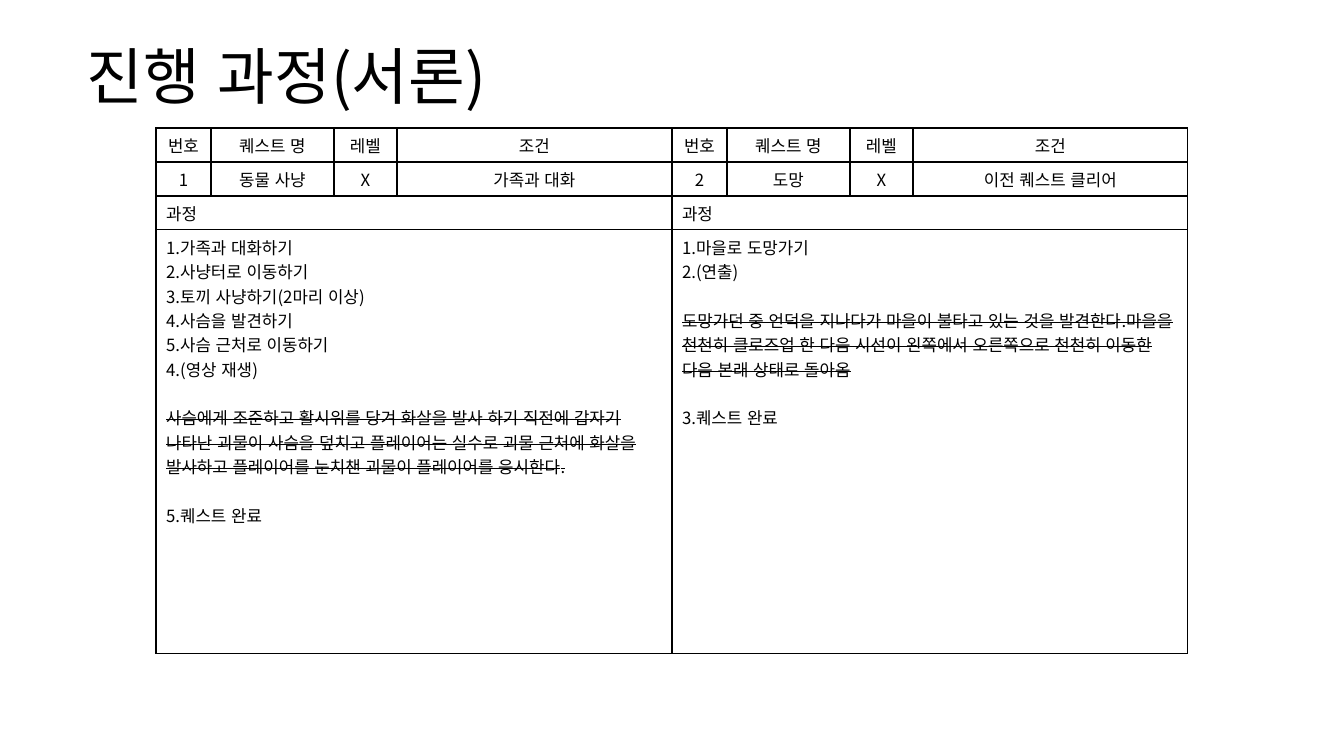
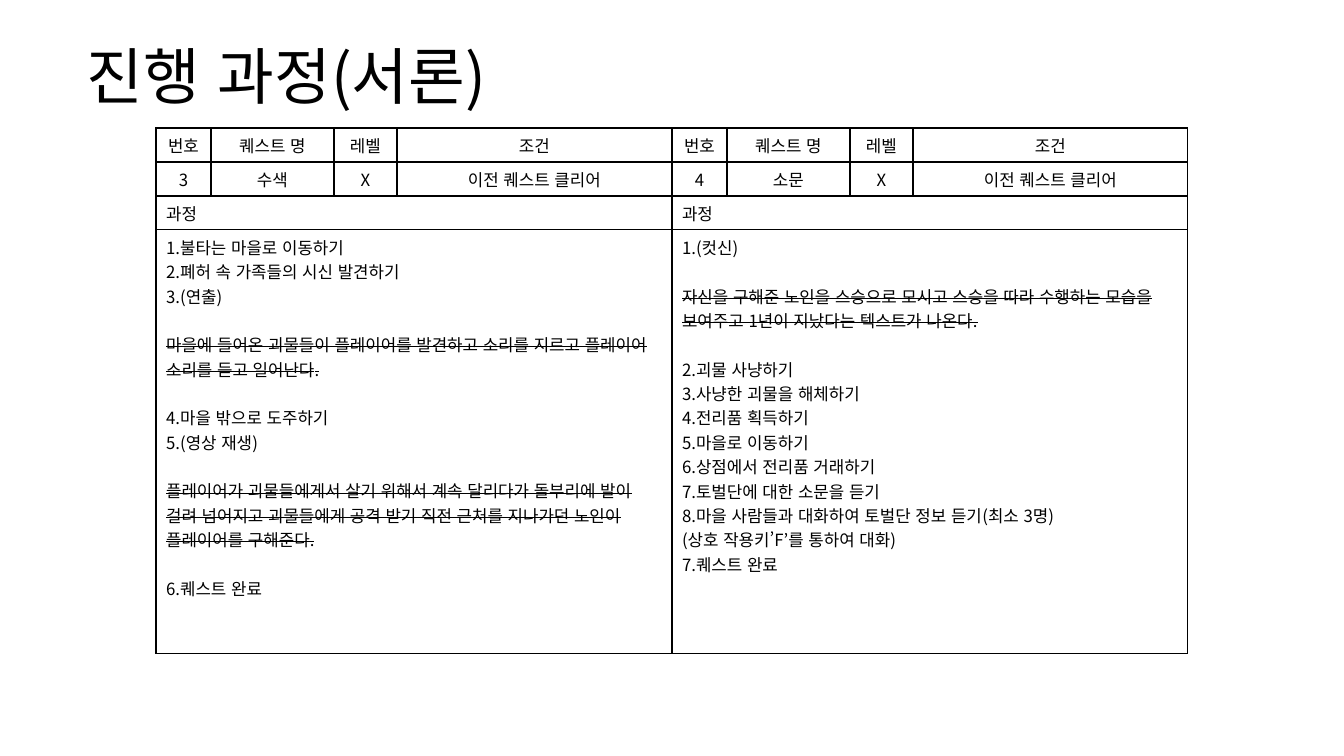
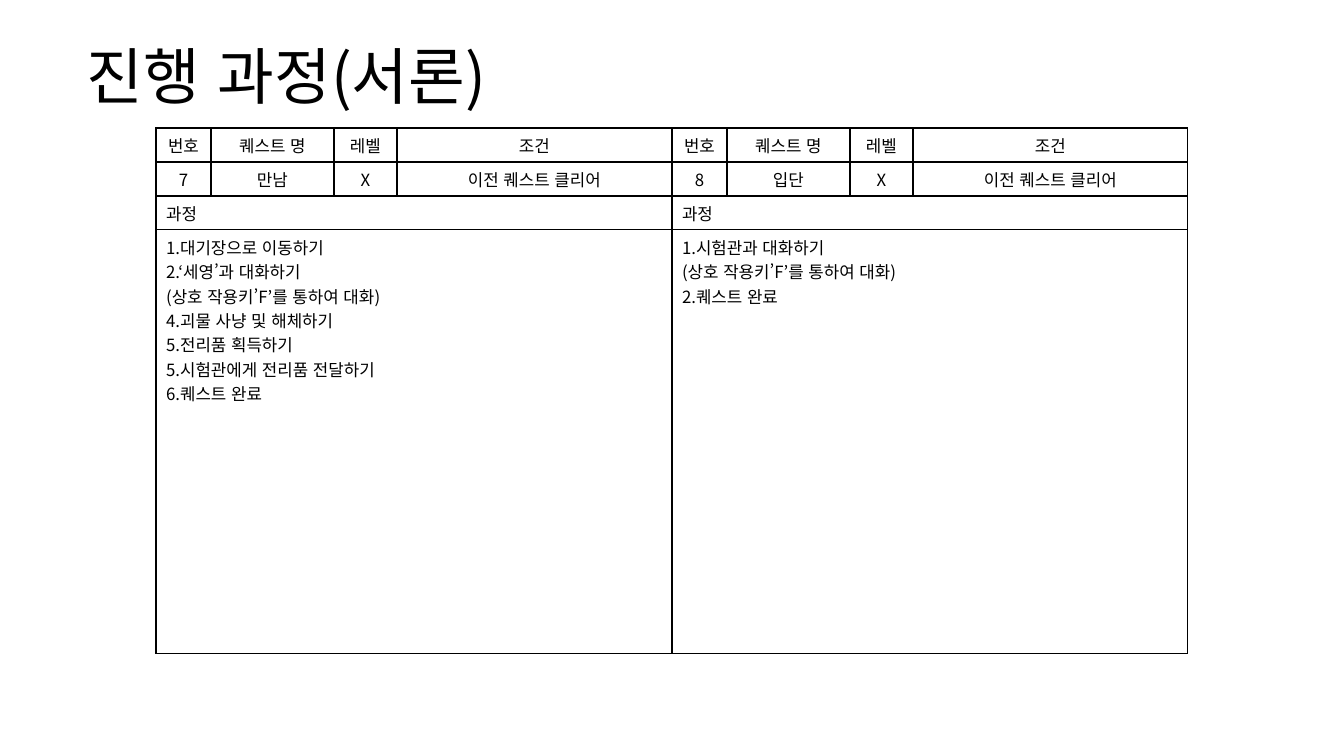
from dataclasses import dataclass
from lxml.etree import SubElement
from pptx import Presentation
from pptx.dml.color import RGBColor
from pptx.enum.lang import MSO_LANGUAGE_ID
from pptx.enum.text import MSO_ANCHOR, PP_ALIGN
from pptx.oxml.ns import qn
from pptx.util import Emu, Pt

# Content: each quest is (number, name, level, condition, steps)
TITLE = "진행 과정(서론)"
HEADERS = ("번호", "퀘스트 명", "레벨", "조건")
PROCESS = "과정"
CLEARED = "이전 퀘스트 클리어"
TALK_KEY = "(상호 작용키’F’를 통하여 대화)"
STRUCK = "~"  # leading mark of a struck-out scene

SLIDES = [
    [
        ("1", "동물 사냥", "X", "가족과 대화", [
            "1.가족과 대화하기",
            "2.사냥터로 이동하기",
            "3.토끼 사냥하기(2마리 이상)",
            "4.사슴을 발견하기",
            "5.사슴 근처로 이동하기",
            "4.(영상 재생)",
            "~사슴에게 조준하고 활시위를 당겨 화살을 발사 하기 직전에 갑자기 나타난 "
            "괴물이 사슴을 덮치고 플레이어는 실수로 괴물 근처에 화살을 발사하고 "
            "플레이어를 눈치챈 괴물이 플레이어를 응시한다.",
            "5.퀘스트 완료",
        ]),
        ("2", "도망", "X", CLEARED, [
            "1.마을로 도망가기",
            "2.(연출)",
            "~도망가던 중 언덕을 지나다가 마을이 불타고 있는 것을 발견한다.마을을 "
            "천천히 클로즈업 한 다음 시선이 왼쪽에서 오른쪽으로 천천히 이동한 다음 "
            "본래 상태로 돌아옴",
            "3.퀘스트 완료",
        ]),
    ],
    [
        ("3", "수색", "X", CLEARED, [
            "1.불타는 마을로 이동하기",
            "2.폐허 속 가족들의 시신 발견하기",
            "3.(연출)",
            "~마을에 들어온 괴물들이 플레이어를 발견하고 소리를 지르고 플레이어 "
            "소리를 듣고 일어난다.",
            "4.마을 밖으로 도주하기",
            "5.(영상 재생)",
            "~플레이어가 괴물들에게서 살기 위해서 계속 달리다가 돌부리에 발이 걸려 "
            "넘어지고 괴물들에게 공격 받기 직전 근처를 지나가던 노인이 플레이어를 "
            "구해준다.",
            "6.퀘스트 완료",
        ]),
        ("4", "소문", "X", CLEARED, [
            "1.(컷신)",
            "~자신을 구해준 노인을 스승으로 모시고 스승을 따라 수행하는 모습을 "
            "보여주고 1년이 지났다는 텍스트가 나온다.",
            "2.괴물 사냥하기",
            "3.사냥한 괴물을 해체하기",
            "4.전리품 획득하기",
            "5.마을로 이동하기",
            "6.상점에서 전리품 거래하기",
            "7.토벌단에 대한 소문을 듣기",
            "8.마을 사람들과 대화하여 토벌단 정보 듣기(최소 3명)",
            TALK_KEY,
            "7.퀘스트 완료",
        ]),
    ],
    [
        ("7", "만남", "X", CLEARED, [
            "1.대기장으로 이동하기",
            "2.‘세영’과 대화하기",
            TALK_KEY,
            "4.괴물 사냥 및 해체하기",
            "5.전리품 획득하기",
            "5.시험관에게 전리품 전달하기",
            "6.퀘스트 완료",
        ]),
        ("8", "입단", "X", CLEARED, [
            "1.시험관과 대화하기",
            TALK_KEY,
            "2.퀘스트 완료",
        ]),
    ],
]


# Theme and geometry
@dataclass(frozen=True)
class Theme:
    font: str = "Noto Sans CJK KR"
    ink: RGBColor = RGBColor(0, 0, 0)
    title: Pt = Pt(44)
    body: Pt = Pt(12)
    border: Pt = Pt(1)
    scene_gap: Pt = Pt(17.4)  # one body line


THEME = Theme()
SLIDE_W, SLIDE_H = 1344, 756
TITLE_BOX = (77, 32, 1190, 95)
TABLE_LEFT, TABLE_TOP = 156, 128
COLS = (55, 123, 63, 275)
ROWS = (34, 34, 34, 424)


def px(n):
    return Emu(round(n * 914400 / 100.8))


def set_all(obj, **values):
    for name, value in values.items():
        setattr(obj, name, value)


# Shared text, title and table parts
def write(p, text, size, struck=False, **para):
    set_all(p, **para)
    r = p.add_run()
    r.text = text
    set_all(r.font, name=THEME.font, size=size,
            language_id=MSO_LANGUAGE_ID.KOREAN)
    r.font.color.rgb = THEME.ink
    rPr = r.font._element
    SubElement(rPr, qn("a:ea"), typeface=THEME.font)
    if struck:
        rPr.set("strike", "sngStrike")


def add_title(s):
    tf = s.shapes.add_textbox(*map(px, TITLE_BOX)).text_frame
    set_all(tf, word_wrap=True, vertical_anchor=MSO_ANCHOR.MIDDLE)
    write(tf.paragraphs[0], TITLE, THEME.title, line_spacing=0.9)


def style_cell(cell):
    tcPr = cell._tc.get_or_add_tcPr()
    for side in ("lnL", "lnR", "lnT", "lnB"):
        ln = SubElement(tcPr, qn(f"a:{side}"), w=str(THEME.border))
        fill = SubElement(ln, qn("a:solidFill"))
        SubElement(fill, qn("a:srgbClr"), val=str(THEME.ink))
    cell.fill.background()


def write_steps(tf, steps):
    for i, step in enumerate(steps):
        p = tf.add_paragraph() if i else tf.paragraphs[0]
        struck = step.startswith(STRUCK)
        gap = THEME.scene_gap if struck else Pt(0)
        write(p, step.removeprefix(STRUCK), THEME.body, struck,
              space_before=gap, space_after=gap)


def add_quest(s, left, quest):
    *facts, steps = quest
    box = (left, TABLE_TOP, sum(COLS), sum(ROWS))
    table = s.shapes.add_table(len(ROWS), len(COLS), *map(px, box)).table
    set_all(table, first_row=False, horz_banding=False)
    for col, w in zip(table.columns, COLS):
        col.width = px(w)
    for row, h in zip(table.rows, ROWS):
        row.height = px(h)
    for cell in table.iter_cells():
        style_cell(cell)
    for i, texts in enumerate((HEADERS, facts)):
        for j, text in enumerate(texts):
            write(table.cell(i, j).text_frame.paragraphs[0], text, THEME.body,
                  alignment=PP_ALIGN.CENTER)
    for i, lines in ((2, [PROCESS]), (3, steps)):
        table.cell(i, 0).merge(table.cell(i, len(COLS) - 1))
        write_steps(table.cell(i, 0).text_frame, lines)


# Build the slides
prs = Presentation()
set_all(prs, slide_width=px(SLIDE_W), slide_height=px(SLIDE_H))
for quests in SLIDES:
    s = prs.slides.add_slide(prs.slide_layouts[6])
    add_title(s)
    for i, quest in enumerate(quests):
        add_quest(s, TABLE_LEFT + i * sum(COLS), quest)
prs.save("out.pptx")
